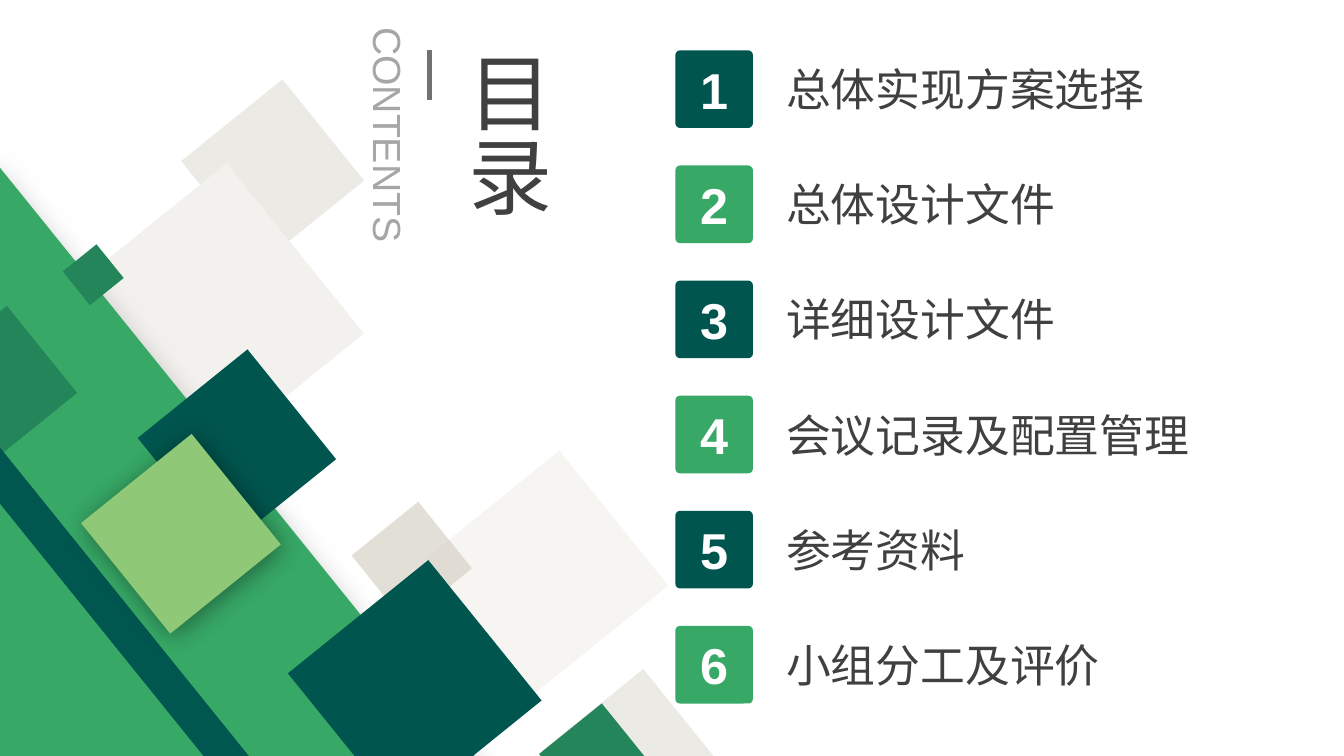
from dataclasses import dataclass, field
from typing import Optional

from lxml import etree
from pptx import Presentation, util as u
from pptx.dml.color import RGBColor
from pptx.enum import lang, shapes, text
from pptx.oxml.ns import qn

ROWS = 75  # the slide is 75 square grid cells high
CELL = u.Inches(7.5) / ROWS
COLUMNS = 133.33
TILT = 231.1


@dataclass(frozen=True)
class Theme:
    font: str = "Arial"
    deep: str = "00554E"
    stripe: str = "00574F"
    green: str = "37A866"
    mid: str = "24855A"
    lime: str = "8FC877"
    sand: str = "E7E4DD"
    pale: str = "F2F1ED"
    stone: str = "D8D4C9"
    ink: str = "404040"
    grey: str = "A6A6A6"
    rule: str = "767171"
    white: str = "FFFFFF"
    shadow: str = "000000"
    title_size: int = 60
    number_size: int = 36
    item_size: int = 32
    caption_size: int = 28
    rule_width: int = 3


THEME = Theme()


@dataclass(frozen=True)
class Area:
    """A box measured in grid cells."""
    left: float
    top: float
    width: float
    height: float

    def emu(self) -> list[u.Emu]:
        return [cells(n) for n in (self.left, self.top, self.width, self.height)]


@dataclass(frozen=True)
class Shadow:
    """Blur and distance in points, direction in degrees, opacity in percent."""
    blur: float
    distance: float
    direction: float
    opacity: int = 40


@dataclass(frozen=True)
class Tile:
    area: Area
    color: str
    opacity: int = 100
    shadow: Optional[Shadow] = None


@dataclass(frozen=True)
class Label:
    words: str
    area: Area
    size: int
    color: str = THEME.ink
    frame: dict = field(default_factory=dict)
    rotation: float = 0
    direction: str = "horz"


def square(left: float, top: float, side: float) -> Area:
    return Area(left, top, side, side)


TILES = (
    Tile(square(20.6, 10.5, 12.9), THEME.sand, 76),
    Tile(square(10, 20.6, 21.7), THEME.pale),
    Tile(square(56.4, 69, 12.9), THEME.sand, 76),
    Tile(square(45.6, 48.2, 17.2), THEME.pale, 67),
    Tile(square(36.6, 51.5, 8.5), THEME.stone, 73),
    Tile(Area(-39.2, 46.8, 103.9, 48.5), THEME.green, shadow=Shadow(27, 16, 90)),
    Tile(square(55.1, 71.4, 8), THEME.mid),
    Tile(square(16.5, 37.5, 14), THEME.deep),
    Tile(square(-5.7, 32.6, 11.1), THEME.mid),
    Tile(square(7.1, 25.1, 4.3), THEME.mid),
    Tile(Area(-38, 65.7, 108.7, 3.5), THEME.stripe),
    Tile(square(10.9, 45.9, 14.1), THEME.lime, shadow=Shadow(18, 3, 45)),
    Tile(square(32.2, 59.2, 17.9), THEME.deep),
)
HEADINGS = (
    Label("CONTENTS", Area(25.8, 11.6, 25.5, 5.7), THEME.caption_size, THEME.grey, rotation=90),
    Label("目录", Area(43.7, 4, 12.1, 19.5), THEME.title_size, direction="eaVert"),
)
ITEMS = (
    "总体实现方案选择",
    "总体设计文件",
    "详细设计文件",
    "会议记录及配置管理",
    "参考资料",
    "小组分工及评价",
)
ITEM_TOP, ITEM_PITCH = 5, 11.42
BADGE_LEFT, BADGE_SIDE, BADGE_CORNER = 67, 7.7, 0.06
ITEM_LEFT, ITEM_WIDTH, ITEM_HEIGHT, ITEM_DROP = 77, 45.4, 6.4, 0.65


def cells(count: float) -> u.Emu:
    return u.Emu(round(count * CELL))


def rgb(color: str) -> RGBColor:
    return RGBColor.from_string(color)


def add_alpha(color_element, opacity: int) -> None:
    etree.SubElement(color_element, qn("a:alpha"), val=str(opacity * 1000))


def paint(shape, color: str) -> None:
    """Give a shape a flat fill, without line or shadow."""
    shape.shadow.inherit = False
    shape.fill.solid()
    shape.fill.fore_color.rgb = rgb(color)
    shape.line.fill.background()


def cast_shadow(shape, shadow: Shadow) -> None:
    effects = shape.element.spPr.find(qn("a:effectLst"))
    outer = etree.SubElement(
        effects, qn("a:outerShdw"), blurRad=str(u.Pt(shadow.blur)),
        dist=str(u.Pt(shadow.distance)), dir=str(shadow.direction * 60000),
        algn="ctr", rotWithShape="0")
    add_alpha(etree.SubElement(outer, qn("a:srgbClr"), val=THEME.shadow), shadow.opacity)


def write(shape, words: str, size: int, color: str, frame: dict, bold: bool = False,
          align: text.PP_ALIGN = text.PP_ALIGN.LEFT) -> None:
    for name, value in frame.items():
        setattr(shape.text_frame, name, value)
    para = shape.text_frame.paragraphs[0]
    para.alignment = align
    span = para.add_run()
    span.text = words
    formats = {"name": THEME.font, "size": u.Pt(size), "bold": bold,
               "language_id": lang.MSO_LANGUAGE_ID.SIMPLIFIED_CHINESE}
    for name, value in formats.items():
        setattr(span.font, name, value)
    span.font.color.rgb = rgb(color)


def draw_tile(page, tile: Tile) -> None:
    shape = page.shapes.add_shape(shapes.MSO_SHAPE.RECTANGLE, *tile.area.emu())
    shape.rotation = TILT
    paint(shape, tile.color)
    if tile.opacity < 100:
        add_alpha(shape.element.spPr.find(".//" + qn("a:srgbClr")), tile.opacity)
    if tile.shadow:
        cast_shadow(shape, tile.shadow)


def draw_label(page, label: Label) -> None:
    box = page.shapes.add_textbox(*label.area.emu())
    box.rotation = label.rotation
    box.text_frame._txBody.bodyPr.set("vert", label.direction)
    frame = {"word_wrap": True, "auto_size": text.MSO_AUTO_SIZE.SHAPE_TO_FIT_TEXT}
    write(box, label.words, label.size, label.color, frame | label.frame)


def draw_badge(page, number: int, top: float) -> None:
    area = square(BADGE_LEFT, top, BADGE_SIDE)
    badge = page.shapes.add_shape(shapes.MSO_SHAPE.ROUNDED_RECTANGLE, *area.emu())
    badge.adjustments[0] = BADGE_CORNER
    paint(badge, THEME.deep if number % 2 else THEME.green)
    write(badge, str(number), THEME.number_size, THEME.white,
          {"vertical_anchor": text.MSO_ANCHOR.MIDDLE}, True, text.PP_ALIGN.CENTER)


def draw_rule(page) -> None:
    ends = [cells(n) for n in (42.6, 5, 42.6, 9.9)]
    rule = page.shapes.add_connector(shapes.MSO_CONNECTOR.STRAIGHT, *ends)
    rule.line.color.rgb = rgb(THEME.rule)
    rule.line.width = u.Pt(THEME.rule_width)
    etree.SubElement(rule.element.spPr, qn("a:effectLst"))


def main() -> None:
    deck = Presentation()
    deck.slide_width, deck.slide_height = cells(COLUMNS), cells(ROWS)
    page = deck.slides.add_slide(deck.slide_layouts[6])
    for tile in TILES:
        draw_tile(page, tile)
    for heading in HEADINGS:
        draw_label(page, heading)
    draw_rule(page)
    for index, words in enumerate(ITEMS):
        top = ITEM_TOP + index * ITEM_PITCH
        draw_badge(page, index + 1, top)
        area = Area(ITEM_LEFT, top + ITEM_DROP, ITEM_WIDTH, ITEM_HEIGHT)
        draw_label(page, Label(words, area, THEME.item_size))
    deck.save("out.pptx")


if __name__ == "__main__":
    main()
